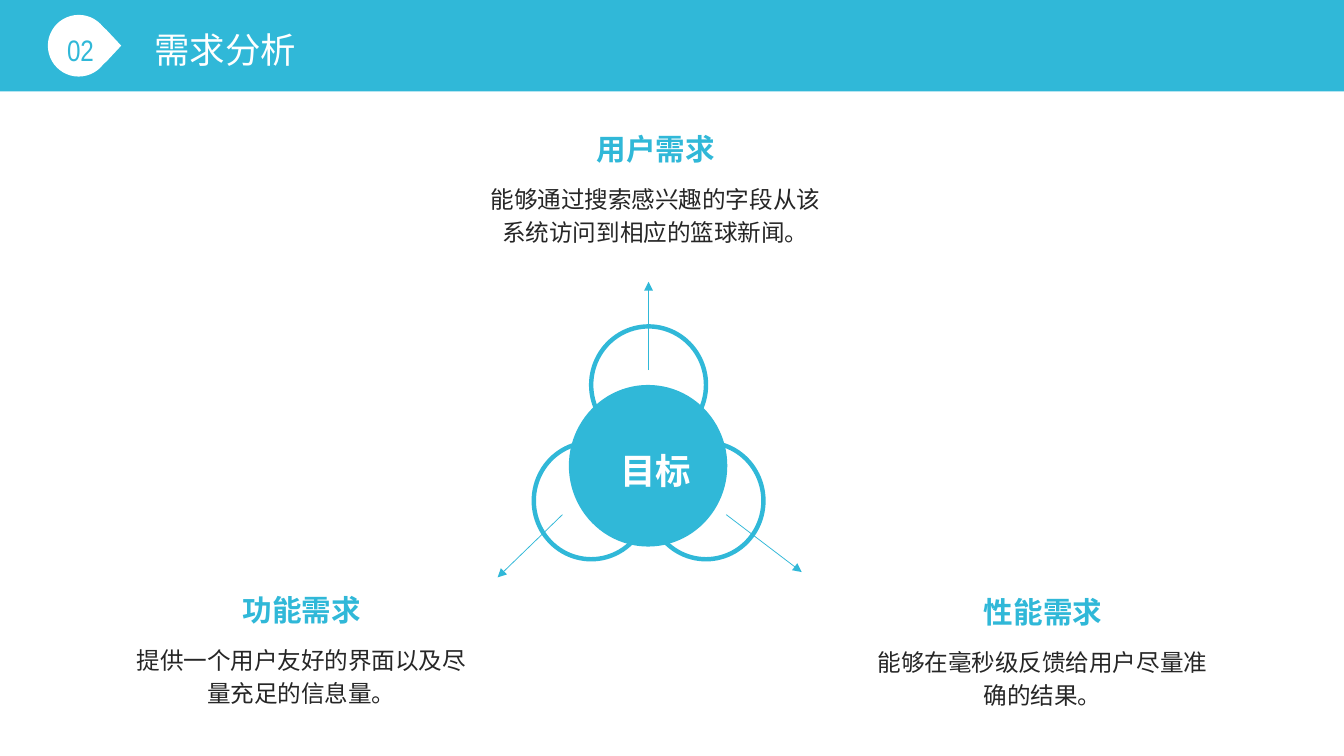
from lxml.etree import SubElement
from pptx import Presentation
from pptx.dml.color import RGBColor
from pptx.enum.shapes import MSO_CONNECTOR, MSO_SHAPE
from pptx.enum.text import MSO_AUTO_SIZE, PP_ALIGN
from pptx.oxml.ns import qn
from pptx.util import Inches, Pt

CYAN, WHITE, DARK = "30B8D8", "FFFFFF", "262626"
CJK = "Noto Sans CJK SC"


def color(hex_value):
    return RGBColor.from_string(hex_value)


def add_text(slide, text, left, top, width, height, size=16, font=CJK,
             fill=DARK, bold=False, align=PP_ALIGN.LEFT):
    box = slide.shapes.add_textbox(
        Inches(left), Inches(top), Inches(width), Inches(height))
    frame = box.text_frame
    frame.word_wrap = True
    frame.auto_size = MSO_AUTO_SIZE.SHAPE_TO_FIT_TEXT
    frame.margin_left = frame.margin_right = Inches(0.14)
    frame.margin_top = frame.margin_bottom = Inches(0.07)
    paragraph = frame.paragraphs[0]
    paragraph.alignment = align
    paragraph.line_spacing = 1.16
    run = paragraph.add_run()
    run.text = text
    run.font.size = Pt(size)
    run.font.bold = bold
    run.font.name = font
    run.font.color.rgb = color(fill)
    SubElement(run.font._element, qn("a:ea")).set("typeface", font)


def paint(shape, fill=None, line=None):
    shape.shadow.inherit = False
    if fill:
        shape.fill.solid()
        shape.fill.fore_color.rgb = color(fill)
    else:
        shape.fill.background()
    if line:
        shape.line.color.rgb = color(line)
        shape.line.width = Pt(3)
    else:
        shape.line.fill.background()


def add_preset(slide, kind, left, top, width, height, **look):
    shape = slide.shapes.add_shape(
        kind, Inches(left), Inches(top), Inches(width), Inches(height))
    paint(shape, **look)


def add_arrow(slide, start, end):
    arrow = slide.shapes.add_connector(
        MSO_CONNECTOR.STRAIGHT, *(Inches(value) for value in start + end))
    arrow.line.color.rgb = color(CYAN)
    arrow.line.width = Pt(0.5)
    SubElement(arrow.line._get_or_add_ln(), qn("a:tailEnd")).set("type", "triangle")
    SubElement(arrow._element.spPr, qn("a:effectLst"))


def add_header(slide, width, height, number, title):
    add_preset(slide, MSO_SHAPE.RECTANGLE, 0, 0, width, height, fill=CYAN)
    middle = height / 2
    add_preset(slide, MSO_SHAPE.OVAL, 0.45, middle - 0.29, 0.58, 0.58, fill=WHITE)
    tip = [(0.94, -0.2), (1, -0.15), (1.14, 0), (1, 0.15), (0.94, 0.2)]
    points = [(Inches(x), Inches(middle + y)) for x, y in tip]
    builder = slide.shapes.build_freeform(*points[0])
    builder.add_line_segments(points[1:])
    paint(builder.convert_to_shape(), fill=WHITE)
    add_text(slide, number, 0.49, 0.18, 0.78, 0.5,
             size=20, font="Arial Narrow", fill=CYAN)
    add_text(slide, title, 1.31, 0.13, 3.73, 0.6, size=24, fill=WHITE)


def add_goal(slide, left, top, label):
    ring_width, ring_height = 1.08, 1.1
    for column, row in [(0.5, 0), (0, 1), (1, 1)]:
        add_preset(slide, MSO_SHAPE.OVAL, left + column * ring_width,
                   top + row * 1.09, ring_width, ring_height, line=CYAN)
    add_preset(slide, MSO_SHAPE.OVAL, left + 0.33, top + 0.55, 1.49, 1.52, fill=CYAN)
    for start, end in [((1.08, 0.41), (1.08, -0.42)),
                       ((1.81, 1.77), (2.52, 2.31)),
                       ((0.27, 1.77), (-0.34, 2.36))]:
        add_arrow(slide, (left + start[0], top + start[1]),
                  (left + end[0], top + end[1]))
    add_text(slide, label, left + 0.38, top + 1.02, 1.53, 0.6,
             size=24, fill=WHITE, bold=True, align=PP_ALIGN.CENTER)


def add_need(slide, left, top, heading, detail):
    add_text(slide, heading, left + 0.04, top, 3.32, 0.51,
             size=20, fill=CYAN, bold=True, align=PP_ALIGN.CENTER)
    add_text(slide, detail, left, top + 0.52, 3.39, 0.74, align=PP_ALIGN.CENTER)


def main():
    deck = Presentation()
    deck.slide_width, deck.slide_height = Inches(12.64), Inches(7.11)
    slide = deck.slides.add_slide(deck.slide_layouts[6])
    add_header(slide, 12.64, 0.86, "02", "需求分析")
    add_goal(slide, 5.02, 3.07, "目标")
    needs = [
        (8.11, 5.46, "性能需求", "能够在毫秒级反馈给用户尽量准确的结果。"),
        (1.14, 5.44, "功能需求", "提供一个用户友好的界面以及尽量充足的信息量。"),
        (4.47, 1.11, "用户需求", "能够通过搜索感兴趣的字段从该系统访问到相应的篮球新闻。"),
    ]
    for need in needs:
        add_need(slide, *need)
    deck.save("out.pptx")


if __name__ == "__main__":
    main()
